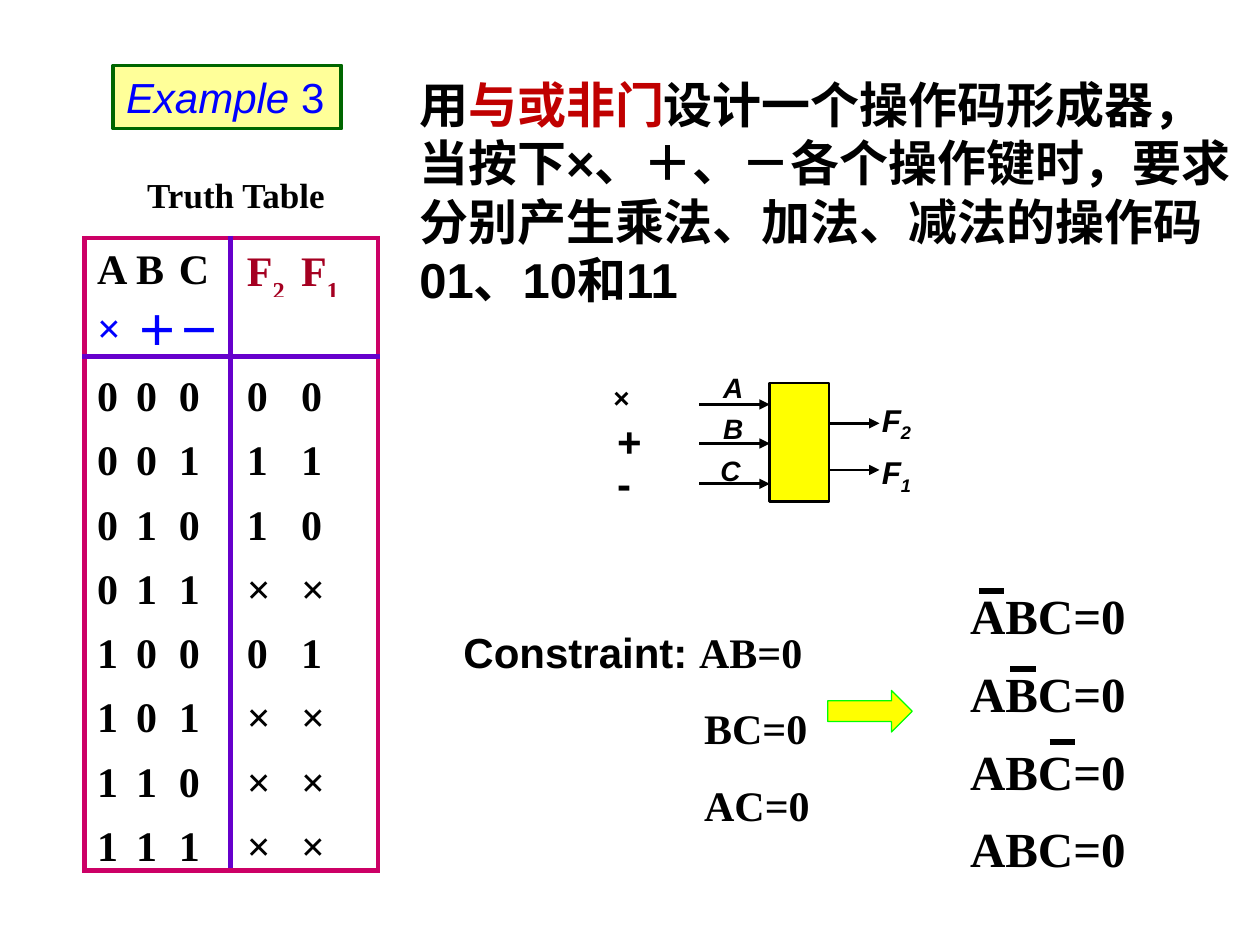
from lxml import etree
from pptx import Presentation
from pptx.dml.color import RGBColor
from pptx.enum.shapes import MSO_CONNECTOR, MSO_SHAPE
from pptx.enum.text import MSO_ANCHOR, MSO_AUTO_SIZE, PP_ALIGN
from pptx.oxml.ns import qn
from pptx.util import Inches, Pt

STRAIGHT = MSO_CONNECTOR.STRAIGHT
RECTANGLE, RIGHT_ARROW = MSO_SHAPE.RECTANGLE, MSO_SHAPE.RIGHT_ARROW
TOP, MIDDLE = MSO_ANCHOR.TOP, MSO_ANCHOR.MIDDLE
LEFT, NO_FIT = PP_ALIGN.LEFT, MSO_AUTO_SIZE.NONE

SERIF, SANS, CHINESE = "Times New Roman", "Arial", "Noto Sans CJK SC"
BLACK, BLUE, RED, DARK_RED = "000000", "0000FF", "C00000", "A50021"
YELLOW, PINK, PURPLE, WHITE = "FFFF00", "CC0066", "6600CC", "FFFFFF"

TITLE = [[("Example ", {"italic": True}), ("3", {})]]
TASK = [[
    ("用", {}), ("与或非门", {"color": RED}), ("设计一个操作码形成器，当按下", {}),
    ("×、＋、－", {"name": SANS}),
    ("各个操作键时，要求分别产生乘法、加法、减法的操作码", {}),
    ("01、10", {"name": SANS}), ("和", {}), ("11", {"name": SANS}),
]]
HEADINGS = ["A", "B", "C", "F2", "F1"]
KEYS = ["×", "＋", "－", "", ""]
TRUTH_ROWS = ["00000", "00111", "01010", "011××", "10001", "101××", "110××", "111××"]
COLUMN_WIDTHS = [0.41, 0.34, 0.41, 0.5, 0.67]
COLUMN_INSETS = [0.1, 0, 0, 0.13, 0.06]
HEADER_HEIGHT, ROW_HEIGHT = 0.47, 0.51
TABLE_LEFT, TABLE_TOP = 0.67, 1.89

CONSTRAINTS = [
    [("Constraint: ", {"name": SANS}), ("AB=0", {})], [("BC=0", {})], [("AC=0", {})],
]
EXPANDED = [[("ABC=0", {})]] * 4
OVERBARS = [(7.77, 4.69), (8.02, 5.31), (8.33, 5.89)]
KEY_LABELS = [("×", 4.77, 2.97, 16), ("+", 4.8, 3.25, 24), ("-", 4.8, 3.58, 24)]
INPUTS = [("A", 5.64, 3.21), ("B", 5.64, 3.52), ("C", 5.62, 3.84)]
OUTPUTS = [("2", 3.13, 3.36), ("1", 3.55, 3.73)]
INPUT_LABEL_TOP, INPUT_LABEL_STEP = 2.89, 0.33


def rgb(value):
    return RGBColor.from_string(value)


def format_span(span, size, name, color=BLACK, bold=True, italic=False, baseline=0):
    font = span.font
    font.size, font.name, font.bold, font.italic = Pt(size), name, bold, italic
    font.color.rgb = rgb(color)
    properties = span._r.get_or_add_rPr()
    etree.SubElement(properties, qn("a:ea")).set("typeface", CHINESE)
    if baseline:
        properties.set("baseline", str(baseline * 1000))


def write(frame, paragraphs, before=0, spacing=None, **style):
    for index, spans in enumerate(paragraphs):
        para = frame.add_paragraph() if index else frame.paragraphs[0]
        para.alignment = LEFT
        if index:
            para.space_before = Pt(before)
        if spacing:
            para.line_spacing = spacing
        for text, changes in spans:
            span = para.add_run()
            span.text = text
            format_span(span, **{**style, **changes})


def place(box, left, top, width, height):
    box.left, box.top = Inches(left), Inches(top)
    box.width, box.height = Inches(width), Inches(height)


def add_text(page, left, top, width, height, paragraphs, **style):
    box = page.shapes.add_textbox(*map(Inches, (left, top, width, height)))
    box.text_frame.word_wrap = True
    write(box.text_frame, paragraphs, **style)
    return box


def paint(shape, fill, line, weight):
    shape.fill.solid()
    shape.fill.fore_color.rgb = rgb(fill)
    shape.line.color.rgb = rgb(line)
    shape.line.width = Pt(weight)


def add_block(page, kind, left, top, width, height, line, weight):
    block = page.shapes.add_shape(kind, *map(Inches, (left, top, width, height)))
    block.shadow.inherit = False
    paint(block, YELLOW, line, weight)


def add_line(page, left, right, y, weight, arrow=False):
    line = page.shapes.add_connector(STRAIGHT, *map(Inches, (left, y, right, y)))
    line.line.color.rgb = rgb(BLACK)
    line.line.width = Pt(weight)
    if arrow:
        etree.SubElement(line.line._get_or_add_ln(), qn("a:tailEnd")).set("type", "triangle")
    etree.SubElement(line._element.spPr, qn("a:effectLst"))


def set_border(cell, side, color):
    edge = etree.Element(qn(f"a:ln{side}"), w=str(Pt(3)))
    if color:
        fill = etree.SubElement(edge, qn("a:solidFill"))
        etree.SubElement(fill, qn("a:srgbClr")).set("val", color)
    else:
        etree.SubElement(edge, qn("a:noFill"))
    return edge


def border_cell(cell, row, column, last_row, last_column):
    colors = {
        "L": PINK if column == 0 else PURPLE if column == 3 else None,
        "R": PINK if column == last_column else PURPLE if column == 2 else None,
        "T": PINK if row == 0 else PURPLE if row == 2 else None,
        "B": PINK if row == last_row else PURPLE if row == 1 else None,
    }
    properties = cell._tc.get_or_add_tcPr()
    for position, (side, color) in enumerate(colors.items()):
        properties.insert(position, set_border(cell, side, color))


def cell_spans(text, row, column):
    if row == 0 and column > 2:
        return [(text[0], {"color": DARK_RED}), (text[1], {"color": DARK_RED, "baseline": -30})]
    return [(text, {"color": BLUE if row == 1 else BLACK})] if text else []


def add_truth_table(page):
    rows = [HEADINGS, KEYS, *TRUTH_ROWS]
    heights = [HEADER_HEIGHT] * 2 + [ROW_HEIGHT] * len(TRUTH_ROWS)
    size = (sum(COLUMN_WIDTHS), sum(heights))
    table = page.shapes.add_table(len(rows), len(HEADINGS), *map(
        Inches, (TABLE_LEFT, TABLE_TOP, *size))).table
    table.first_row = table.horz_banding = False
    for column, width in zip(table.columns, COLUMN_WIDTHS):
        column.width = Inches(width)
    for row, values in enumerate(rows):
        table.rows[row].height = Inches(heights[row])
        for column, text in enumerate(values):
            cell = table.cell(row, column)
            cell.fill.solid()
            cell.fill.fore_color.rgb = rgb(WHITE)
            cell.vertical_anchor = MIDDLE
            cell.margin_left = Inches(COLUMN_INSETS[column])
            cell.margin_right = cell.margin_bottom = 0
            cell.margin_top = Inches(0.1 if row < 2 else 0.2)
            write(cell.text_frame, [cell_spans(text, row, column)],
                  spacing=0.75, size=24, name=SERIF)
            border_cell(cell, row, column, len(rows) - 1, len(HEADINGS) - 1)


def add_circuit(page):
    for text, left, top, size in KEY_LABELS:
        add_text(page, left, top, 0.67, 0.4, [[(text, {})]], size=size, name=SANS)
    for index, (text, left, y) in enumerate(INPUTS):
        add_line(page, 5.55, 6.11, y, 1.5, arrow=True)
        add_text(page, left, INPUT_LABEL_TOP + index * INPUT_LABEL_STEP, 0.67, 0.37,
                 [[(text, {})]], size=16, name=SANS, italic=True)
    add_block(page, RECTANGLE, 6.11, 3.04, 0.47, 0.94, BLACK, 1.5)
    for number, top, y in OUTPUTS:
        add_line(page, 6.59, 6.98, y, 1.5, arrow=True)
        add_text(page, 6.9, top, 0.6, 0.44, [[("F", {}), (number, {"baseline": -25})]],
                 size=18, name=SANS, italic=True)


def main():
    deck = Presentation()
    deck.slide_width, deck.slide_height = Inches(10), Inches(7.5)
    page = deck.slides.add_slide(deck.slide_layouts[5])

    title = page.shapes.title
    place(title, 0.9, 0.52, 1.81, 0.5)
    paint(title, "FFFF99", "006600", 2.25)
    title.text_frame.auto_size = NO_FIT
    title.text_frame.vertical_anchor = TOP
    write(title.text_frame, TITLE, size=24, name=SANS, color=BLUE, bold=False)

    add_text(page, 3.23, 0.54, 6.65, 1.97, TASK, spacing=Pt(33.5), size=28, name=CHINESE)
    add_text(page, 1.07, 1.33, 1.7, 0.44, [[("Truth Table", {})]], size=20, name=SERIF)
    add_truth_table(page)
    add_circuit(page)

    box = add_text(page, 3.58, 4.92, 3.25, 1.72, CONSTRAINTS, before=15, size=24, name=SERIF)
    for para in box.text_frame.paragraphs[1:]:
        para._p.get_or_add_pPr().set("marL", str(Inches(1.91)))
    add_block(page, RIGHT_ARROW, 6.57, 5.48, 0.67, 0.33, "00FF00", 0.75)
    add_text(page, 7.6, 4.69, 1.58, 2.33, EXPANDED, before=17.5, spacing=0.8,
             size=28, name=SERIF)
    for left, y in OVERBARS:
        add_line(page, left, left + 0.2, y, 3)
    deck.save("out.pptx")


if __name__ == "__main__":
    main()
